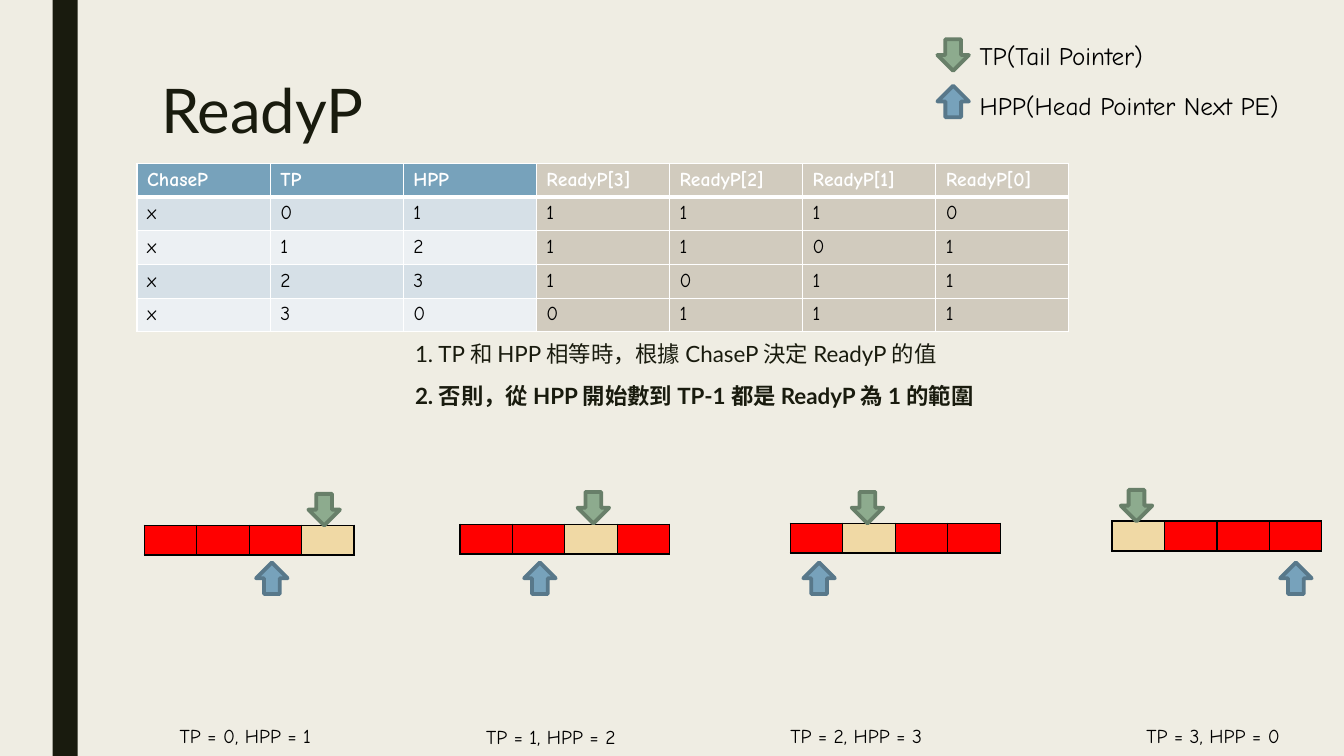
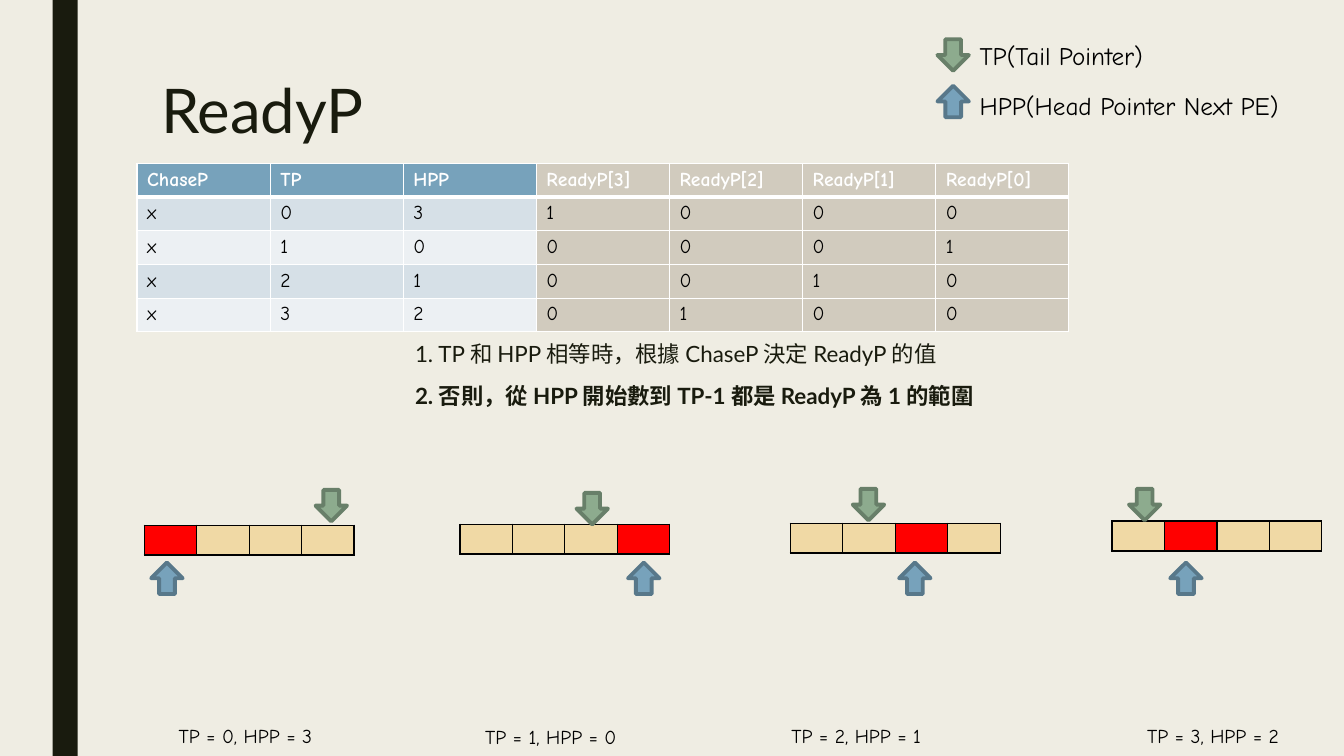
from dataclasses import dataclass

from lxml import etree
from pptx import Presentation
from pptx.dml.color import RGBColor
from pptx.enum.shapes import MSO_SHAPE
from pptx.enum.text import PP_ALIGN
from pptx.oxml.ns import qn
from pptx.slide import Slide
from pptx.table import Table, _Cell
from pptx.text.text import TextFrame
from pptx.util import Pt

RECTANGLE = MSO_SHAPE.RECTANGLE
DOWN_ARROW = MSO_SHAPE.DOWN_ARROW
LEFT = PP_ALIGN.LEFT
CENTER = PP_ALIGN.CENTER

CREAM = RGBColor(0xEF, 0xED, 0xE3)
INK = RGBColor(0x19, 0x1B, 0x0E)
BLACK = RGBColor(0, 0, 0)
WHITE = RGBColor(0xFF, 0xFF, 0xFF)
BLUE = RGBColor(0x77, 0xA2, 0xBB)
DARK_BLUE = RGBColor(0x58, 0x78, 0x8A)
GREEN = RGBColor(0x8D, 0xAB, 0x8E)
DARK_GREEN = RGBColor(0x68, 0x7F, 0x69)
STONE = RGBColor(0xD1, 0xCB, 0xBE)
ROW_TINTS = (RGBColor(0xD6, 0xE0, 0xE7), RGBColor(0xEC, 0xF0, 0xF3))
RED = RGBColor(0xFF, 0, 0)
SAND = RGBColor(0xF0, 0xD9, 0xA5)

HEADING_FONT = "Lato"
LABEL_FONT = "Comic Neue"
SLOTS = 4
INPUT_COLUMNS = ("ChaseP", "TP", "HPP")
HEADERS = INPUT_COLUMNS + tuple(f"ReadyP[{i}]" for i in reversed(range(SLOTS)))
RULES = (
    "1. TP 和 HPP 相等時，根據 ChaseP 決定 ReadyP 的值",
    "2. 否則，從 HPP 開始數到 TP-1 都是 ReadyP 為 1 的範圍",
)
ARROW_SIZE = 22.5
HPP_ARROW_TOP = 401.8


@dataclass(frozen=True)
class Pointer:
    fill: RGBColor
    outline: RGBColor
    rotation: int


@dataclass(frozen=True)
class QueuePlace:
    left: float
    top: float
    caption_left: float
    caption_top: float


@dataclass(frozen=True)
class Case:
    tp: int
    hpp: int
    tp_left: float
    tp_top: float
    hpp_left: float

    def ready_bits(self) -> list[int]:
        count = (self.tp - self.hpp) % SLOTS
        return [int((slot - self.hpp) % SLOTS < count) for slot in reversed(range(SLOTS))]


TP_POINTER = Pointer(GREEN, DARK_GREEN, 0)
HPP_POINTER = Pointer(BLUE, DARK_BLUE, 180)

QUEUE_PLACES = (
    QueuePlace(103, 375.1, 97.9, 513.4),
    QueuePlace(328.5, 374.4, 316.1, 514.1),
    QueuePlace(564.5, 373.7, 534.2, 513.4),
    QueuePlace(794.3, 372.2, 789.1, 513.4),
)
HEAD_AFTER_TAIL = (
    Case(0, 1, 220.3, 352.8, 182.9),
    Case(1, 2, 412.6, 351.4, 374.4),
    Case(2, 3, 608.4, 351.4, 573.8),
    Case(3, 0, 800.6, 349.9, 914.4),
)
HEAD_BEFORE_TAIL = (
    Case(0, 3, 225.4, 349.9, 108),
    Case(1, 0, 411.8, 352.1, 448.6),
    Case(2, 1, 609.1, 349.2, 642.2),
    Case(3, 2, 806.4, 349.2, 835.9),
)


def write(frame: TextFrame, text: str, *, size: float, font: str = LABEL_FONT,
          color: RGBColor = BLACK, bold: bool = False, align: PP_ALIGN = LEFT,
          line_spacing: float = 1.0, before: float = 0, after: float = 0,
          new_paragraph: bool = False) -> None:
    paragraph = frame.add_paragraph() if new_paragraph else frame.paragraphs[0]
    paragraph.alignment = align
    paragraph.line_spacing = line_spacing
    paragraph.space_before = Pt(before)
    paragraph.space_after = Pt(after)
    run = paragraph.add_run()
    run.text = text
    run.font.name = font
    run.font.size = Pt(size)
    run.font.bold = bold
    run.font.color.rgb = color


def add_frame(slide: Slide, left: float, top: float, width: float, height: float) -> TextFrame:
    frame = slide.shapes.add_textbox(Pt(left), Pt(top), Pt(width), Pt(height)).text_frame
    frame.word_wrap = True
    return frame


def add_pointer(slide: Slide, pointer: Pointer, left: float, top: float) -> None:
    arrow = slide.shapes.add_shape(DOWN_ARROW, Pt(left), Pt(top), Pt(ARROW_SIZE), Pt(ARROW_SIZE))
    arrow.shadow.inherit = False
    arrow.rotation = pointer.rotation
    arrow.fill.solid()
    arrow.fill.fore_color.rgb = pointer.fill
    arrow.line.color.rgb = pointer.outline
    arrow.line.width = Pt(2.75)


def style_cell(cell: _Cell, fill: RGBColor, border: RGBColor, bottom: float = 1) -> None:
    properties = cell._tc.get_or_add_tcPr()
    for side, width in (("L", 1), ("R", 1), ("T", 1), ("B", bottom)):
        edge = etree.SubElement(properties, qn(f"a:ln{side}"), w=str(Pt(width)))
        paint = etree.SubElement(edge, qn("a:solidFill"))
        etree.SubElement(paint, qn("a:srgbClr"), val=str(border))
    cell.fill.solid()
    cell.fill.fore_color.rgb = fill


def add_grid(slide: Slide, rows: int, columns: int, left: float, top: float,
             column_width: float, row_height: float) -> Table:
    grid = slide.shapes.add_table(rows, columns, Pt(left), Pt(top), Pt(column_width * columns),
                                  Pt(row_height * rows)).table
    grid.horz_banding = False
    for column in grid.columns:
        column.width = Pt(column_width)
    for row in grid.rows:
        row.height = Pt(row_height)
    return grid


def add_truth_table(slide: Slide, cases: tuple[Case, ...]) -> None:
    records = [HEADERS] + [("x", case.tp, case.hpp, *case.ready_bits()) for case in cases]
    grid = add_grid(slide, len(records), len(HEADERS), 97.9, 116.8, 95.1, 23.6)
    for row, record in enumerate(records):
        header = row == 0
        input_fill = BLUE if header else ROW_TINTS[(row - 1) % 2]
        for column, value in enumerate(record):
            cell = grid.cell(row, column)
            fill = input_fill if column < len(INPUT_COLUMNS) else STONE
            style_cell(cell, fill, WHITE, bottom=3 if header else 1)
            write(cell.text_frame, str(value), size=14, bold=header,
                  color=WHITE if header else BLACK)


def add_queue(slide: Slide, place: QueuePlace, case: Case) -> None:
    slots = add_grid(slide, 1, SLOTS, place.left, place.top, 37.5, 21.4)
    for column, ready in enumerate(case.ready_bits()):
        cell = slots.cell(0, column)
        cell.margin_top = cell.margin_bottom = Pt(0)
        etree.SubElement(cell.text_frame.paragraphs[0]._p, qn("a:endParaRPr"), sz="800")
        style_cell(cell, RED if ready else SAND, BLACK)
    add_pointer(slide, TP_POINTER, case.tp_left, case.tp_top)
    add_pointer(slide, HPP_POINTER, case.hpp_left, HPP_ARROW_TOP)
    caption = add_frame(slide, place.caption_left, place.caption_top, 154.8, 24.5)
    write(caption, f"TP = {case.tp}, HPP = {case.hpp}", size=14, align=CENTER)


def add_heading(slide: Slide) -> None:
    band = slide.shapes.add_shape(RECTANGLE, Pt(37.5), Pt(0), Pt(18), Pt(540))
    band.shadow.inherit = False
    band.fill.solid()
    band.fill.fore_color.rgb = INK
    band.line.fill.background()
    write(add_frame(slide, 108, 54, 756, 116.6), "ReadyP", size=44, font=HEADING_FONT,
          color=INK, line_spacing=0.89)


def add_legend(slide: Slide) -> None:
    for pointer, label, arrow_top, label_top in (
        (TP_POINTER, "TP(Tail Pointer)", 28.1, 25.2),
        (HPP_POINTER, "HPP(Head Pointer Next PE)", 61.2, 61.2),
    ):
        add_pointer(slide, pointer, 669.6, arrow_top)
        write(add_frame(slide, 692.6, label_top, 251.3, 28.8), label, size=18)


def add_rules(slide: Slide) -> None:
    frame = add_frame(slide, 289.4, 241.2, 490.3, 63.4)
    for index, rule in enumerate(RULES):
        write(frame, rule, size=16, font=HEADING_FONT, color=INK, bold=index == 1,
              line_spacing=0.94, before=10, after=2, new_paragraph=index > 0)


def main() -> None:
    deck = Presentation()
    deck.slide_width = Pt(960)
    deck.slide_height = Pt(540)
    backdrop = deck.slide_master.background.fill
    backdrop.solid()
    backdrop.fore_color.rgb = CREAM
    for cases in (HEAD_AFTER_TAIL, HEAD_BEFORE_TAIL):
        slide = deck.slides.add_slide(deck.slide_layouts[6])
        add_heading(slide)
        add_truth_table(slide, cases)
        add_legend(slide)
        for place, case in zip(QUEUE_PLACES, cases):
            add_queue(slide, place, case)
        add_rules(slide)
    deck.save("out.pptx")


if __name__ == "__main__":
    main()
